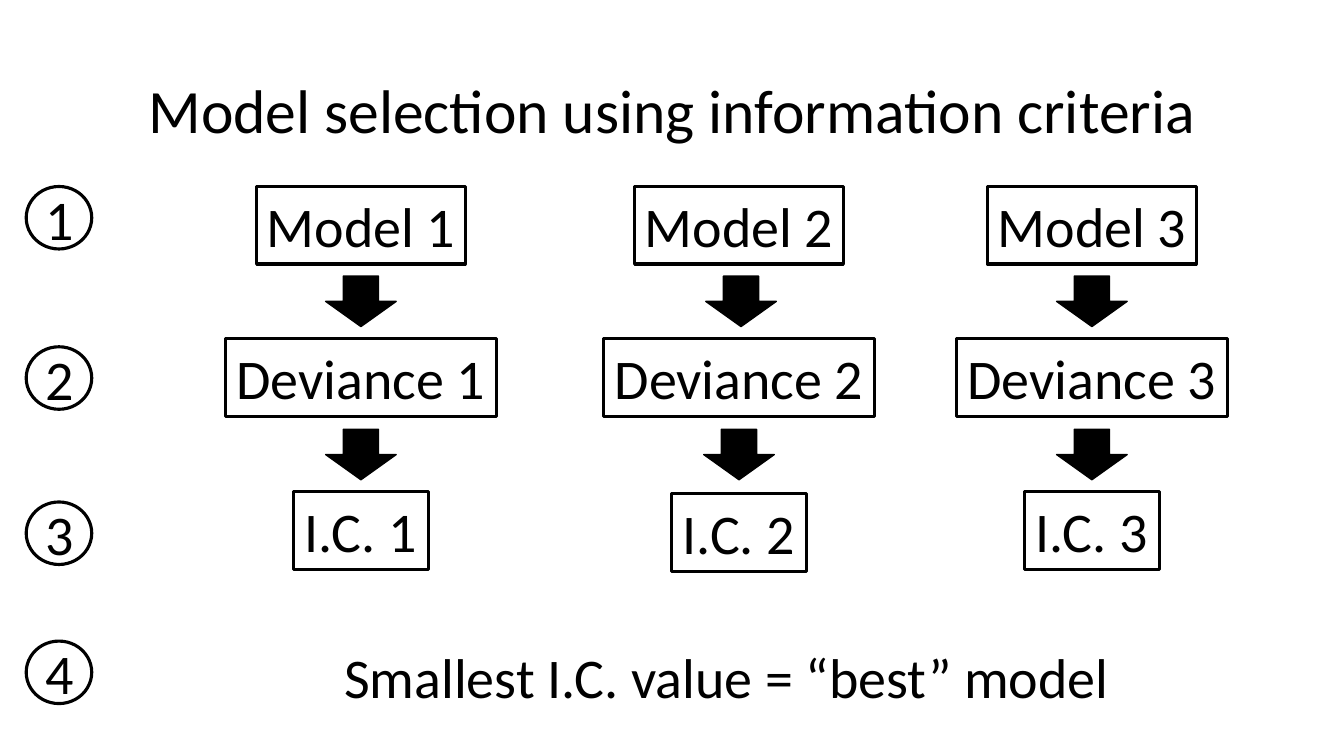
from pptx import Presentation
from pptx.dml.color import RGBColor
from pptx.enum.shapes import MSO_SHAPE
from pptx.enum.text import MSO_ANCHOR, MSO_AUTO_SIZE, PP_ALIGN
from pptx.util import Inches, Pt

# Content
TITLE = "Model selection using information criteria"
CONCLUSION = "Smallest I.C. value = “best” model"
STAGES = [  # label, box width, box tops by column
    ("Model", 2.07, (1.85, 1.85, 1.85)),
    ("Deviance", 2.69, (3.36, 3.36, 3.36)),
    ("I.C.", 1.34, (4.88, 4.9, 4.88)),
]
COLUMN_CENTRES = (3.58, 7.33, 10.83)
ARROW_ROWS = [  # top, arrow centres by column
    (2.74, (3.58, 7.35, 10.83)),
    (4.26, (3.58, 7.33, 10.83)),
]
STEP_TOPS = (1.85, 3.44, 4.98, 6.36)

BLACK, WHITE = "000000", "FFFFFF"
BOX_HEIGHT = 0.77
ARROW_WIDTH, ARROW_HEIGHT = 0.7, 0.5

deck = Presentation()
deck.slide_width, deck.slide_height = Inches(13.33), Inches(7.5)
page = deck.slides.add_slide(deck.slide_layouts[6])


def color(hex_string):
    return RGBColor.from_string(hex_string)


def add_shape(kind, left, top, width, height, fill=WHITE, line_width=2.25):
    shape = page.shapes.add_shape(
        kind, Inches(left), Inches(top), Inches(width), Inches(height))
    shape.shadow.inherit = False
    shape.fill.solid()
    shape.fill.fore_color.rgb = color(fill)
    if line_width:
        shape.line.color.rgb = color(BLACK)
        shape.line.width = Pt(line_width)
    else:
        shape.line.fill.background()
    return shape


def write(shape, text, size=40, anchor=MSO_ANCHOR.MIDDLE, wrap=True):
    frame = shape.text_frame
    frame.word_wrap = wrap
    frame.vertical_anchor = anchor
    para = frame.paragraphs[0]
    para.alignment = PP_ALIGN.CENTER
    span = para.add_run()
    span.text = text
    span.font.name = "Calibri"
    span.font.size = Pt(size)
    span.font.color.rgb = color(BLACK)
    return para


def add_box(text, left, top, width, line_width=2.25):
    box = add_shape(MSO_SHAPE.RECTANGLE, left, top, width, BOX_HEIGHT,
                    line_width=line_width)
    write(box, text, anchor=MSO_ANCHOR.TOP, wrap=False)
    box.text_frame.auto_size = MSO_AUTO_SIZE.SHAPE_TO_FIT_TEXT


# Title
title = page.shapes.add_textbox(
    Inches(0.92), Inches(0.4), Inches(11.5), Inches(1.45))
write(title, TITLE, size=44).line_spacing = 0.9

# Numbered steps
for number, top in enumerate(STEP_TOPS, 1):
    write(add_shape(MSO_SHAPE.OVAL, 0.26, top, 0.65, 0.62), str(number))

# Boxes for each model
for label, width, tops in STAGES:
    for number, (centre, top) in enumerate(zip(COLUMN_CENTRES, tops), 1):
        add_box(f"{label} {number}", centre - width / 2, top, width)

# Conclusion
add_box(CONCLUSION, 2.24, 6.33, 9.93, line_width=0)

# Arrows between stages
for top, centres in ARROW_ROWS:
    for centre in centres:
        add_shape(MSO_SHAPE.DOWN_ARROW, centre - ARROW_WIDTH / 2, top,
                  ARROW_WIDTH, ARROW_HEIGHT, fill=BLACK, line_width=1)

deck.save("out.pptx")
